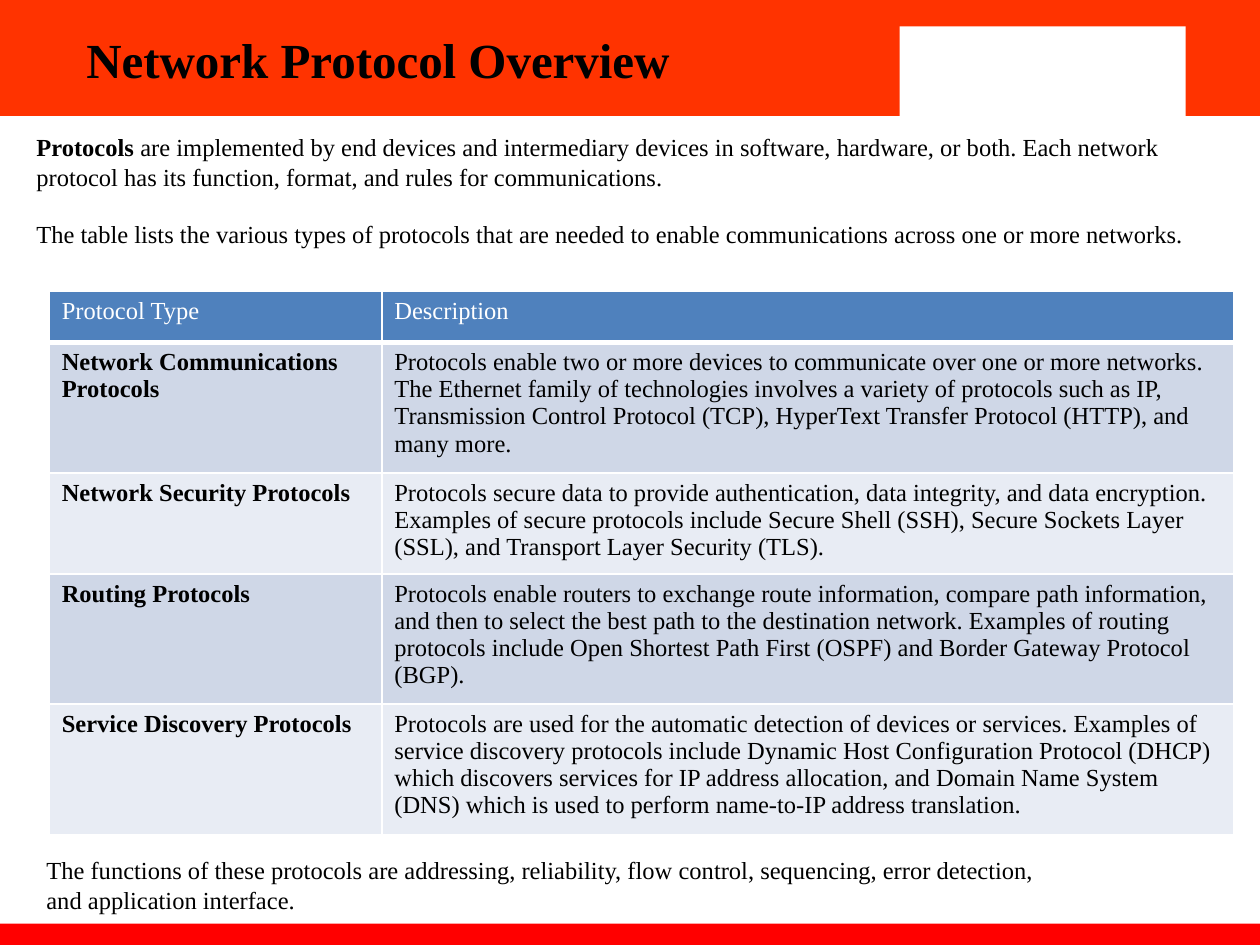
from typing import NamedTuple

from lxml.etree import SubElement
from pptx import Presentation
from pptx.dml.color import RGBColor
from pptx.enum.shapes import MSO_SHAPE
from pptx.enum.text import MSO_ANCHOR, PP_ALIGN
from pptx.oxml.ns import qn
from pptx.util import Inches, Pt

COLORS = {
    "banner": "FF3300",
    "footer": "FF0000",
    "white": "FFFFFF",
    "black": "000000",
    "header": "4F81BD",
    "odd": "CFD7E7",
    "even": "E8ECF4",
}
FONT = "Times New Roman"
HEADER_HEIGHT = 0.41
COLUMN_WIDTHS = (2.64, 6.76)


class Area(NamedTuple):
    left: float
    top: float
    width: float
    height: float


class Bar(NamedTuple):
    area: Area
    color: str


class Span(NamedTuple):
    text: str
    bold: bool = False
    size: int = 14
    color: str = "black"


class Protocol(NamedTuple):
    name: str
    description: str
    height: float


BARS = (
    Bar(Area(0, 0, 10, 0.92), "banner"),
    Bar(Area(0, 7.33, 10, 0.17), "footer"),
    Bar(Area(7.14, 0.21, 2.27, 0.75), "white"),
)

PROTOCOLS = (
    Protocol(
        "Network Communications Protocols",
        "Protocols enable two or more devices to communicate over one or more networks. "
        "The Ethernet family of technologies involves a variety of protocols such as IP, "
        "Transmission Control Protocol (TCP), HyperText Transfer Protocol (HTTP), and many more.",
        1.03,
    ),
    Protocol(
        "Network Security Protocols",
        "Protocols secure data to provide authentication, data integrity, and data encryption. "
        "Examples of secure protocols include Secure Shell (SSH), Secure Sockets Layer (SSL), "
        "and Transport Layer Security (TLS).",
        0.8,
    ),
    Protocol(
        "Routing Protocols",
        "Protocols enable routers to exchange route information, compare path information, "
        "and then to select the best path to the destination network. Examples of routing "
        "protocols include Open Shortest Path First (OSPF) and Border Gateway Protocol (BGP).",
        1.03,
    ),
    Protocol(
        "Service Discovery Protocols",
        "Protocols are used for the automatic detection of devices or services. Examples of "
        "service discovery protocols include Dynamic Host Configuration Protocol (DHCP) which "
        "discovers services for IP address allocation, and Domain Name System (DNS) which is "
        "used to perform name-to-IP address translation.",
        1.03,
    ),
)

INTRODUCTION = (
    (
        Span("Protocols", bold=True),
        Span(
            " are implemented by end devices and intermediary devices in software, hardware, "
            "or both. Each network protocol has its function, format, and rules for communications."
        ),
    ),
    (
        Span(
            "The table lists the various types of protocols that are needed to enable "
            "communications across one or more networks."
        ),
    ),
)

CONCLUSION = (
    (
        Span(
            "The functions of these protocols are addressing, reliability, flow control, "
            "sequencing, error detection,"
        ),
    ),
    (Span("and application interface."),),
)


def apply(target, values: dict) -> None:
    for name, value in values.items():
        setattr(target, name, value)


def rgb(name: str) -> RGBColor:
    return RGBColor.from_string(COLORS[name])


def inches(area: Area) -> list:
    return [Inches(value) for value in area]


def add_bar(slide, bar: Bar) -> None:
    shape = slide.shapes.add_shape(MSO_SHAPE.RECTANGLE, *inches(bar.area))
    shape.shadow.inherit = False
    shape.fill.solid()
    shape.fill.fore_color.rgb = rgb(bar.color)
    shape.line.fill.background()


def write(frame, paragraphs: tuple, gap: float = 0, **paragraph_format) -> None:
    for index, spans in enumerate(paragraphs):
        para = frame.add_paragraph() if index else frame.paragraphs[0]
        apply(para, {"space_before": Pt(gap if index else 0), **paragraph_format})
        for span in spans:
            run = para.add_run()
            run.text = span.text
            apply(run.font, {"name": FONT, "size": Pt(span.size), "bold": span.bold})
            run.font.color.rgb = rgb(span.color)


def add_text(slide, area: Area, paragraphs: tuple, gap: float = 0):
    frame = slide.shapes.add_textbox(*inches(area)).text_frame
    frame.word_wrap = True
    write(frame, paragraphs, gap)
    return frame


def add_title(slide) -> None:
    frame = add_text(slide, Area(0, 0, 6, 1), ((Span("Network Protocol Overview", True, 28),),))
    margins = {f"margin_{side}": 0 for side in ("left", "top", "right", "bottom")}
    apply(frame, {"vertical_anchor": MSO_ANCHOR.MIDDLE, **margins})
    apply(frame.paragraphs[0], {"alignment": PP_ALIGN.CENTER, "line_spacing": 0.9})


def style_cell(cell, span: Span, fill: str, top: int, bottom: int) -> None:
    write(cell.text_frame, ((span,),))
    properties = cell._tc.get_or_add_tcPr()
    for side, width in {"L": 1, "R": 1, "T": top, "B": bottom}.items():
        line = SubElement(properties, qn(f"a:ln{side}"), w=str(Pt(width)))
        SubElement(SubElement(line, qn("a:solidFill")), qn("a:srgbClr"), val=COLORS["white"])
    cell.fill.solid()
    cell.fill.fore_color.rgb = rgb(fill)


def add_protocol_table(slide) -> None:
    heights = [HEADER_HEIGHT, *(protocol.height for protocol in PROTOCOLS)]
    area = Area(0.39, 2.31, sum(COLUMN_WIDTHS), sum(heights))
    table = slide.shapes.add_table(len(heights), len(COLUMN_WIDTHS), *inches(area)).table
    for column, width in zip(table.columns, COLUMN_WIDTHS):
        column.width = Inches(width)
    for row, height in zip(table.rows, heights):
        row.height = Inches(height)
    for column, label in enumerate(("Protocol Type", "Description")):
        style_cell(table.cell(0, column), Span(label, color="white"), "header", 1, 3)
    for row, protocol in enumerate(PROTOCOLS, 1):
        fill = "odd" if row % 2 else "even"
        top = 3 if row == 1 else 1
        style_cell(table.cell(row, 0), Span(protocol.name, bold=True), fill, top, 1)
        style_cell(table.cell(row, 1), Span(protocol.description), fill, top, 1)


def main() -> None:
    deck = Presentation()
    apply(deck, {"slide_width": Inches(10), "slide_height": Inches(7.5)})
    slide = deck.slides.add_slide(deck.slide_layouts[6])
    for bar in BARS:
        add_bar(slide, bar)
    add_title(slide)
    add_text(slide, Area(0.19, 1, 9.61, 1.04), INTRODUCTION, gap=16)
    add_protocol_table(slide)
    add_text(slide, Area(0.27, 6.74, 8.3, 0.57), CONCLUSION)
    deck.save("out.pptx")


if __name__ == "__main__":
    main()
